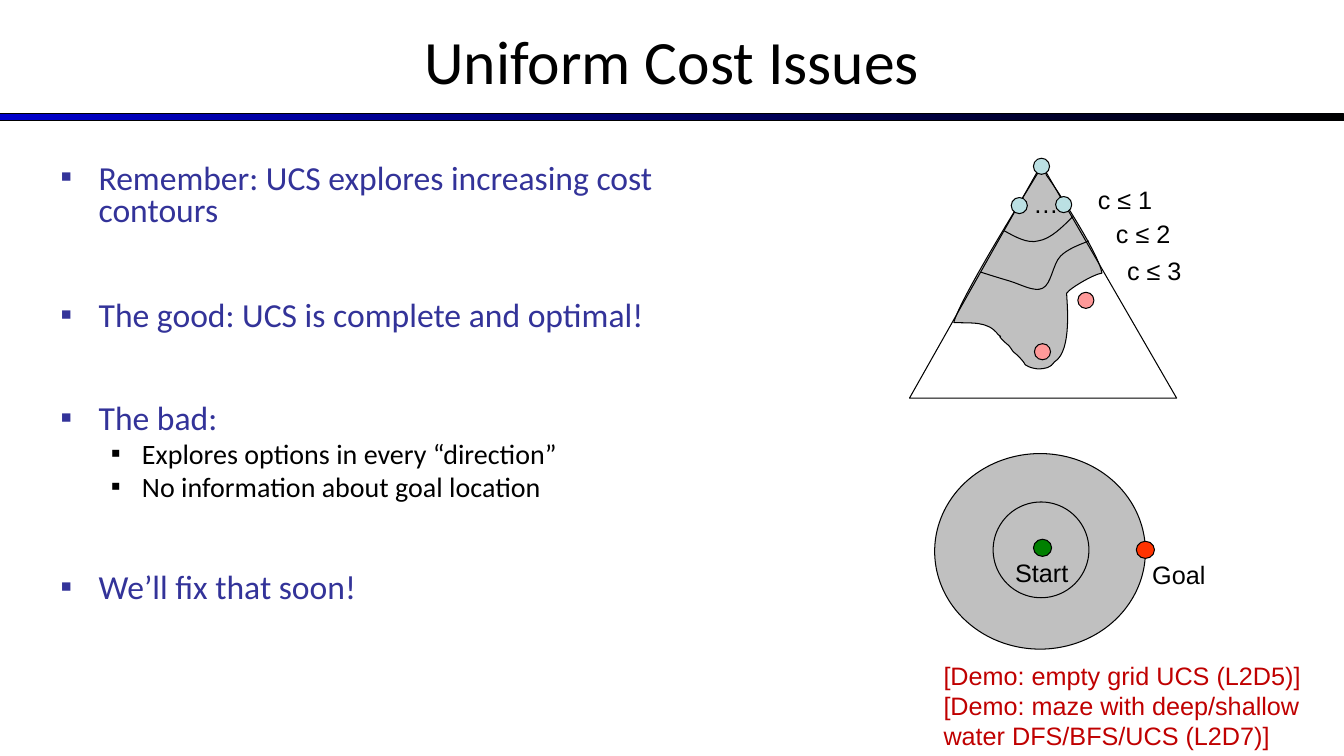
"""Build the slide on the issues of uniform cost search."""
import pptx
import pptx.util
import pptx.dml.color
import pptx.enum.shapes
import pptx.enum.text
import pptx.oxml
import pptx.oxml.ns

Inches = pptx.util.Inches
Pt = pptx.util.Pt
SHAPES = pptx.enum.shapes.MSO_SHAPE
COLORS = {
    "black": "000000", "rule": "0000CC", "heading": "333399", "explored": "C0C0C0",
    "node": "BBE0E3", "goal_node": "FF9999", "start": "008000", "goal": "FF3300",
    "demo": "C00000",
}
DOT = 0.16

BULLETS = [
    (0, "Remember: UCS explores increasing cost contours", 0),
    (0, "The good: UCS is complete and optimal!", 52),
    (0, "The bad:", 51),
    (1, "Explores options in every “direction”", 4),
    (1, "No information about goal location", 4),
    (0, "We’ll fix that soon!", 51),
]
LEVELS = [(0.38, 0.38, 24, "heading"), (0.81, 0.31, 20, "black")]

TRIANGLE = [(9.02, 3.95), (11.67, 3.95), (10.33, 1.63), (9.02, 3.95)]
EXPLORED = [
    (10.38, 1.74), (10.49, 1.89), (10.9, 2.52), (10.93, 2.71),
    (10.85, 2.72), (10.61, 2.86), (10.58, 2.91),
    (10.58, 2.98), (10.64, 3.48), (10.46, 3.59),
    (10.42, 3.65), (10.37, 3.66), (10.29, 3.66),
    (10.23, 3.65), (10.22, 3.65), (10.17, 3.62),
    (10.15, 3.58), (10.09, 3.52), (10.05, 3.49),
    (10, 3.42), (10.03, 3.45), (9.96, 3.39),
    (9.86, 3.29), (9.97, 3.37), (9.9, 3.32),
    (9.8, 3.18), (9.63, 3.21), (9.46, 3.2),
    (9.53, 2.95), (10.13, 1.99), (10.28, 1.74),
    (10.43, 1.5), (10.36, 1.74), (10.38, 1.74),
]
CONTOUR_TWO = [
    (10.8, 2.39), (10.7, 2.43), (10.59, 2.47), (10.52, 2.54),
    (10.44, 2.62), (10.43, 2.82), (10.34, 2.86),
    (10.26, 2.9), (10.12, 2.82), (10.02, 2.79),
    (9.92, 2.76), (9.82, 2.73), (9.73, 2.7),
]
CONTOUR_ONE = [
    (10.64, 2.15), (10.53, 2.26), (10.42, 2.37), (10.3, 2.39),
    (10.19, 2.42), (10.07, 2.35), (9.96, 2.29),
]


def color(name):
    """Return the named colour."""
    return pptx.dml.color.RGBColor.from_string(COLORS[name])


def style_shape(shape, fill):
    """Give a shape a thin black outline and a solid fill or none."""
    shape.shadow.inherit = False
    shape.line.color.rgb = color("black")
    shape.line.width = Pt(0.75)
    if fill:
        shape.fill.solid()
        shape.fill.fore_color.rgb = color(fill)
    else:
        shape.fill.background()


def style_paragraph(para, size, name, font="Arial"):
    """Set the font of every run in a paragraph."""
    for span in para.runs:
        span.font.name = font
        span.font.size = Pt(size)
        span.font.color.rgb = color(name)


def add_title(page, text):
    """Place and format the title."""
    title = page.shapes.title
    title.left, title.top = Inches(0), Inches(-0.03)
    title.width, title.height = Inches(13.33), Inches(1.25)
    frame = title.text_frame
    frame.text = text
    frame.auto_size = pptx.enum.text.MSO_AUTO_SIZE.NONE
    frame.vertical_anchor = pptx.enum.text.MSO_ANCHOR.MIDDLE
    frame.paragraphs[0].alignment = pptx.enum.text.PP_ALIGN.CENTER
    style_paragraph(frame.paragraphs[0], 44, "black", "Calibri")


def add_rule(page):
    """Draw the gradient bar below the title."""
    rule = page.shapes.add_shape(
        SHAPES.RECTANGLE, Inches(0), Inches(1.13), Inches(13.33), Inches(0.07))
    style_shape(rule, None)
    rule.fill.gradient()
    rule.fill.gradient_angle = 0
    for stop, name in zip(rule.fill.gradient_stops, ("rule", "black")):
        stop.color.rgb = color(name)


def add_ellipse(page, left, top, width, height, fill=None):
    """Draw an outlined ellipse."""
    ellipse = page.shapes.add_shape(
        SHAPES.OVAL, Inches(left), Inches(top), Inches(width), Inches(height))
    style_shape(ellipse, fill)


def add_outline(page, points, fill=None, close=False):
    """Draw a freeform through the points and return it."""
    corners = [(Inches(x), Inches(y)) for x, y in points]
    builder = page.shapes.build_freeform(*corners[0])
    builder.add_line_segments(corners[1:], close=close)
    outline = builder.convert_to_shape()
    style_shape(outline, fill)
    return outline


def add_curve(page, controls, fill=None, close=False):
    """Draw a chain of cubic curves that share their end points."""
    outline = add_outline(page, controls, fill, close)
    segments = outline._element.xpath(".//a:lnTo")
    for first in range(0, len(segments), 3):
        curve = pptx.oxml.parse_xml(
            f'<a:cubicBezTo {pptx.oxml.ns.nsdecls("a")}/>')
        segments[first].addprevious(curve)
        for segment in segments[first:first + 3]:
            curve.append(segment[0])
            segment.getparent().remove(segment)


def add_text(page, left, top, width, height, text, name="black"):
    """Add a wrapped text box and return its frame."""
    box = page.shapes.add_textbox(
        Inches(left), Inches(top), Inches(width), Inches(height))
    frame = box.text_frame
    frame.word_wrap = True
    frame.text = text
    for para in frame.paragraphs:
        style_paragraph(para, 18, name)
    return frame


def add_bullets(page):
    """Add the two-level bullet list."""
    frame = add_text(page, 0.5, 1.58, 7.08, 4.95, "\n".join(text for _, text, _ in BULLETS))
    for para, (level, _, gap) in zip(frame.paragraphs, BULLETS):
        margin, hanging, size, name = LEVELS[level]
        para.level = level
        para.line_spacing = 0.8
        para.space_before = Pt(gap)
        properties = para._p.get_or_add_pPr()
        properties.set("marL", str(Inches(margin)))
        properties.set("indent", str(-Inches(hanging)))
        namespace = pptx.oxml.ns.nsdecls("a")
        for markup in (
            f'<a:buClr {namespace}><a:srgbClr val="{COLORS[name]}"/></a:buClr>',
            f'<a:buFont {namespace} typeface="Arial"/>',
            f'<a:buChar {namespace} char="▪"/>',
        ):
            properties.append(pptx.oxml.parse_xml(markup))
        style_paragraph(para, size, name, "Calibri")


def add_search_tree(page):
    """Draw the search tree with its cost contours as one group."""
    tree = page.shapes.add_group_shape()
    add_curve(tree, EXPLORED, "explored", close=True)
    add_outline(tree, TRIANGLE, close=True)
    add_text(tree, 10.15, 1.82, 0.25, 0.4, "…")
    for left, top, fill in (
        (10.03, 1.96, "node"), (10.47, 1.95, "node"), (10.25, 1.57, "node"),
        (10.69, 2.9, "goal_node"), (10.26, 3.41, "goal_node"),
    ):
        add_ellipse(tree, left, top, DOT, DOT, fill)
    for contour in (CONTOUR_TWO, CONTOUR_ONE):
        add_curve(tree, contour)
    for cost, left, top in ((1, 10.79, 1.78), (2, 10.97, 2.12), (3, 11.08, 2.48)):
        add_text(tree, left, top, 0.75, 0.4, f"c ≤ {cost}")


def add_state_space(page):
    """Draw the rings around the start and the goal on the outer one."""
    add_ellipse(page, 9.27, 4.5, 2.09, 1.94, "explored")
    add_ellipse(page, 10.25, 5.35, 0.18, 0.17, "start")
    add_text(page, 9.97, 5.48, 1, 0.4, "Start")
    add_ellipse(page, 11.27, 5.37, 0.18, 0.17, "goal")
    add_text(page, 11.33, 5.5, 1, 0.4, "Goal")
    add_ellipse(page, 9.85, 4.98, 0.95, 0.95)


def main():
    """Build and save the deck."""
    deck = pptx.Presentation()
    deck.slide_width, deck.slide_height = Inches(13.33), Inches(7.5)
    page = deck.slides.add_slide(deck.slide_layouts.get_by_name("Title Only"))
    add_title(page, "Uniform Cost Issues")
    add_rule(page)
    add_bullets(page)
    add_state_space(page)
    add_search_tree(page)
    add_text(
        page, 9.26, 6.5, 4.07, 1.01,
        "[Demo: empty grid UCS (L2D5)]\n"
        "[Demo: maze with deep/shallow water DFS/BFS/UCS (L2D7)]", "demo")
    deck.save("out.pptx")


if __name__ == "__main__":
    main()
